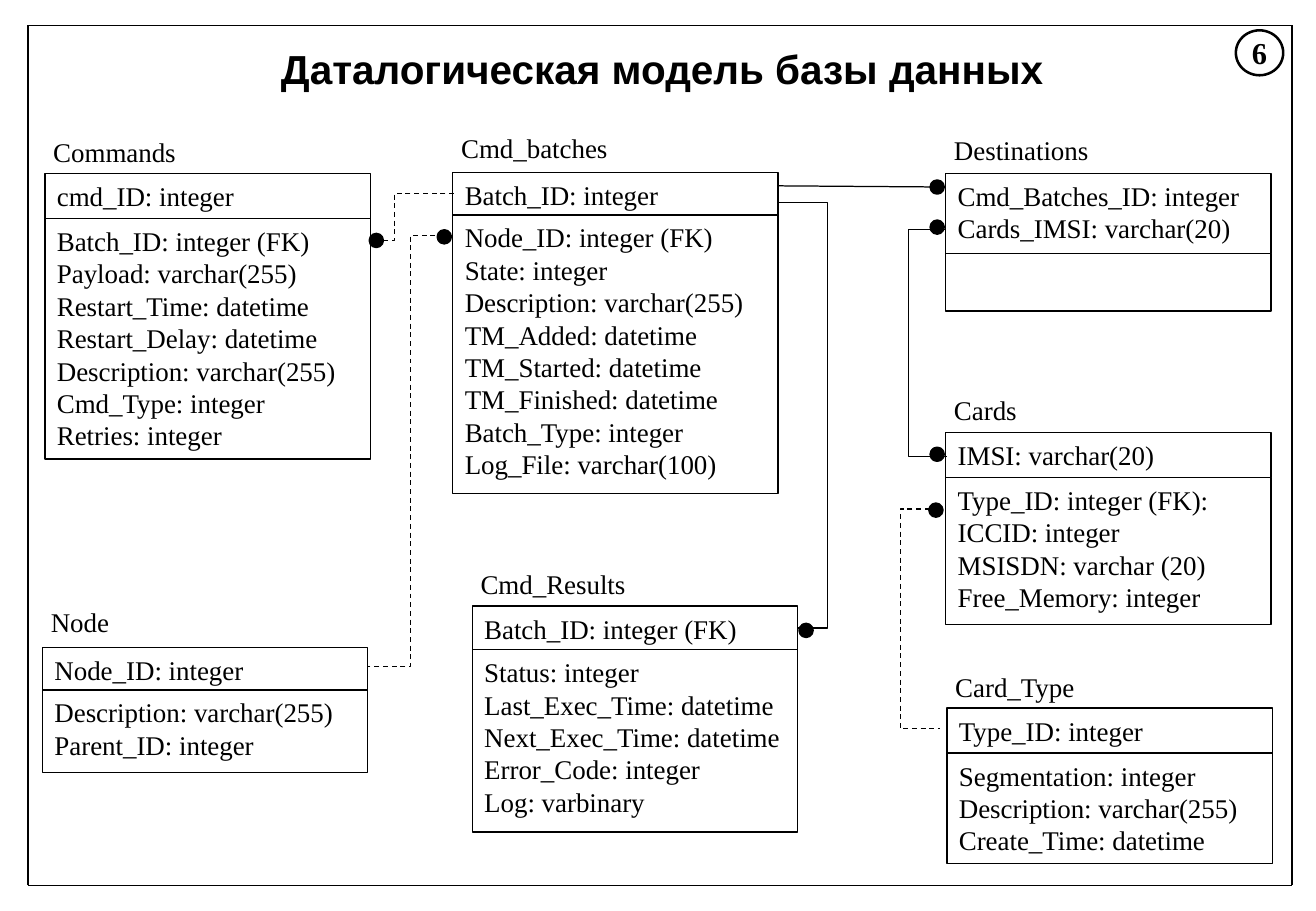
from dataclasses import dataclass

from lxml import etree
from pptx import Presentation
from pptx import util as u
from pptx.dml.color import RGBColor
from pptx.enum import dml, shapes, text
from pptx.oxml import ns


@dataclass(frozen=True)
class Theme:
    ink: RGBColor = RGBColor(0, 0, 0)
    title_font: str = "Arial"
    body_font: str = "Times New Roman"
    title_size: int = 24
    number_size: int = 18
    body_size: int = 16
    thin: float = 0.75
    frame: float = 1
    ring: float = 1.5
    dot: float = 2


THEME = Theme()
TITLE = {"name": THEME.title_font, "size": u.Pt(THEME.title_size), "bold": True}
NUMBER = {"name": THEME.body_font, "size": u.Pt(THEME.number_size), "bold": True}
BODY = {"name": THEME.body_font, "size": u.Pt(THEME.body_size), "bold": False}

TABLE_WIDTH = 2.68
DOT_SIZE = 0.1

# Name, name top, left, key top, key height, body height, key fields, body fields
TABLES = [
    ("Commands", 1.07, 0.37, 1.43, 0.37, 1.98, ["cmd_ID: integer"],
     ["Batch_ID: integer (FK)", "Payload: varchar(255)", "Restart_Time: datetime",
      "Restart_Delay: datetime", "Description: varchar(255)", "Cmd_Type: integer",
      "Retries: integer"]),
    ("Node", 4.94, 0.35, 5.33, 0.35, 0.68, ["Node_ID: integer"],
     ["Description: varchar(255)", "Parent_ID: integer"]),
    ("Cmd_batches", 1.03, 3.73, 1.42, 0.35, 2.29, ["Batch_ID: integer"],
     ["Node_ID: integer (FK)", "State: integer", "Description: varchar(255)",
      "TM_Added: datetime", "TM_Started: datetime", "TM_Finished: datetime",
      "Batch_Type: integer", "Log_File: varchar(100)"]),
    ("Cmd_Results", 4.62, 3.89, 4.99, 0.36, 1.5, ["Batch_ID: integer (FK)"],
     ["Status: integer", "Last_Exec_Time: datetime", "Next_Exec_Time: datetime",
      "Error_Code: integer", "Log: varbinary"]),
    ("Destinations", 1.05, 7.79, 1.43, 0.66, 0.47,
     ["Cmd_Batches_ID: integer", "Cards_IMSI: varchar(20)"], []),
    ("Cards", 3.19, 7.79, 3.56, 0.37, 1.21, ["IMSI: varchar(20)"],
     ["Type_ID: integer (FK): ICCID: integer", "MSISDN: varchar (20)",
      "Free_Memory: integer"]),
    ("Card_Type", 5.47, 7.8, 5.83, 0.37, 0.91, ["Type_ID: integer"],
     ["Segmentation: integer", "Description: varchar(255)", "Create_Time: datetime"]),
]

# Start, end, x of the vertical run, dashed
BENT_LINKS = [
    ((7.73, 4.19), (7.74, 6), 7.41, True),
    ((7.79, 1.89), (7.8, 3.76), 7.48, False),
    ((6.41, 1.67), (6.57, 5.17), 6.82, False),
    ((3.73, 1.94), (3.03, 5.49), 3.38, True),
    ((3.74, 1.59), (3.06, 1.98), 3.25, True),
]

DOTS = [(3.05, 1.93), (3.61, 1.9), (6.59, 5.14), (7.67, 1.49), (7.67, 1.82),
        (7.67, 3.69), (7.66, 4.15)]


def inches(*values):
    return [u.Inches(value) for value in values]


def write(frame, lines, font, align=text.PP_ALIGN.LEFT,
          anchor=text.MSO_ANCHOR.TOP, wrap=True):
    settings = {"word_wrap": wrap, "vertical_anchor": anchor,
                "auto_size": text.MSO_AUTO_SIZE.NONE,
                "margin_left": u.Inches(0.1), "margin_right": u.Inches(0.1),
                "margin_top": u.Inches(0.05), "margin_bottom": u.Inches(0.05)}
    for name, value in settings.items():
        setattr(frame, name, value)
    for index, line in enumerate(lines):
        paragraph = frame.paragraphs[0] if index == 0 else frame.add_paragraph()
        paragraph.text = line
        paragraph.alignment = align
        for name, value in font.items():
            setattr(paragraph.font, name, value)
        paragraph.font.color.rgb = THEME.ink


def add_outline(slide, kind, box, weight, filled=False):
    shape = slide.shapes.add_shape(kind, *inches(*box))
    shape.shadow.inherit = False
    if filled:
        shape.fill.solid()
        shape.fill.fore_color.rgb = THEME.ink
    else:
        shape.fill.background()
    shape.line.color.rgb = THEME.ink
    shape.line.width = u.Pt(weight)
    return shape


def add_line(slide, start, end, weight, kind=shapes.MSO_CONNECTOR.STRAIGHT):
    connector = slide.shapes.add_connector(kind, *inches(*start, *end))
    connector.line.color.rgb = THEME.ink
    connector.line.width = u.Pt(weight)
    etree.SubElement(connector._element.spPr, ns.qn("a:effectLst"))
    return connector


def add_bent_link(slide, start, end, middle, dashed):
    connector = add_line(slide, start, end, THEME.thin, shapes.MSO_CONNECTOR.ELBOW)
    if dashed:
        connector.line.dash_style = dml.MSO_LINE.DASH
    # The bend is a share of the horizontal distance from start to end
    share = (middle - start[0]) / (end[0] - start[0])
    geometry = connector._element.spPr.find(ns.qn("a:prstGeom"))
    guides = geometry.find(ns.qn("a:avLst"))
    if guides is None:
        guides = etree.SubElement(geometry, ns.qn("a:avLst"))
    etree.SubElement(guides, ns.qn("a:gd"), name="adj1",
                     fmla=f"val {round(share * 100000)}")


def add_table_box(slide, name, name_top, left, top, key_height, body_height,
                  keys, fields):
    label = slide.shapes.add_textbox(*inches(left - 0.03, name_top, 1.89, 0.36))
    write(label.text_frame, [name], BODY)
    for box_top, height, lines in ((top, key_height, keys),
                                   (top + key_height, body_height, fields)):
        box = add_outline(slide, shapes.MSO_SHAPE.RECTANGLE,
                          (left, box_top, TABLE_WIDTH, height), THEME.thin)
        write(box.text_frame, lines, BODY)


def add_title(slide, words):
    title = slide.shapes.title
    title.left, title.top, title.width, title.height = inches(0.34, 0.31, 10.23, 0.5)
    write(title.text_frame, [words], TITLE, text.PP_ALIGN.CENTER)


def add_frame(slide, left, top, right, bottom):
    corners = [(left, top), (right, top), (right, bottom), (left, bottom)]
    for start, end in zip(corners, corners[1:] + corners[:1]):
        add_line(slide, start, end, THEME.frame)


def add_number(slide, number):
    ring = add_outline(slide, shapes.MSO_SHAPE.OVAL, (10.18, 0.25, 0.39, 0.37),
                       THEME.ring)
    write(ring.text_frame, [number], NUMBER, text.PP_ALIGN.CENTER,
          text.MSO_ANCHOR.MIDDLE, wrap=False)


def main():
    presentation = Presentation()
    presentation.slide_width, presentation.slide_height = inches(10.84, 7.5)
    slide = presentation.slides.add_slide(presentation.slide_layouts[5])

    # Frame, title and sheet number
    add_frame(slide, 0.23, 0.21, 10.64, 7.29)
    add_title(slide, "Даталогическая модель базы данных")
    add_number(slide, "6")

    # Database tables
    for table in TABLES:
        add_table_box(slide, *table)

    # Relations and their end dots
    for link in BENT_LINKS:
        add_bent_link(slide, *link)
    add_line(slide, (6.41, 1.53), (7.79, 1.54), THEME.thin)
    for left, top in DOTS:
        add_outline(slide, shapes.MSO_SHAPE.FLOWCHART_CONNECTOR,
                    (left, top, DOT_SIZE, DOT_SIZE), THEME.dot, filled=True)

    presentation.save("out.pptx")


if __name__ == "__main__":
    main()
